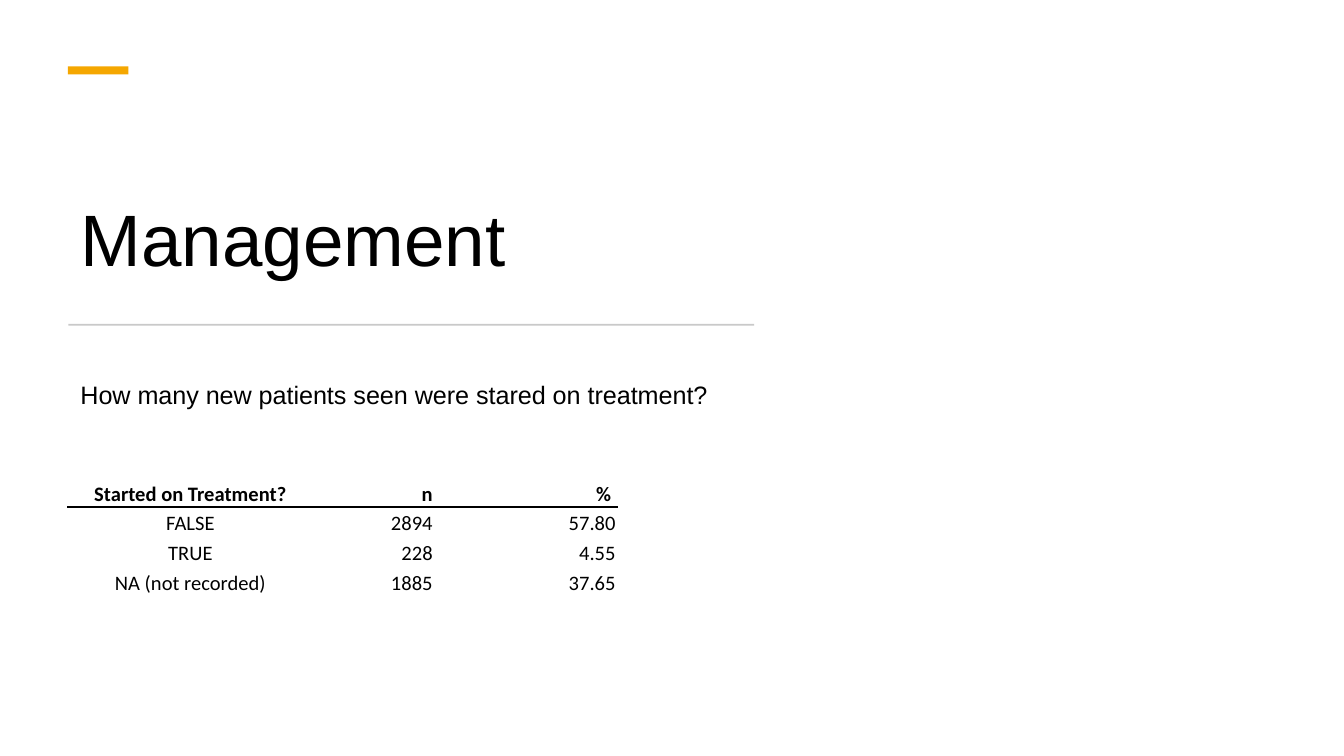
from lxml import etree
from pptx import Presentation
from pptx.dml.color import RGBColor
from pptx.enum.shapes import MSO_SHAPE
from pptx.enum.text import MSO_ANCHOR, PP_ALIGN
from pptx.oxml.ns import qn
from pptx.util import Pt

RECT = MSO_SHAPE.RECTANGLE
TOP, BOTTOM = MSO_ANCHOR.TOP, MSO_ANCHOR.BOTTOM
LEFT, CENTER, RIGHT = PP_ALIGN.LEFT, PP_ALIGN.CENTER, PP_ALIGN.RIGHT
COLORS = {"text": "000000", "accent": "F5A700", "rule": "C9C9C9"}


def write(frame, text, align, font, spacing=1.0):
    paragraph = frame.paragraphs[0]
    paragraph.alignment = align
    paragraph.line_spacing = spacing
    run = paragraph.add_run()
    run.text = text
    for name, value in font.items():
        setattr(run.font, name, value)
    run.font.color.rgb = RGBColor.from_string(COLORS["text"])


def add_border(cell, side):
    line = etree.SubElement(cell._tc.get_or_add_tcPr(), qn(f"a:{side}"), w=str(Pt(1)))
    fill = etree.SubElement(line, qn("a:solidFill"))
    etree.SubElement(fill, qn("a:srgbClr"), val=COLORS["text"])


prs = Presentation()
prs.slide_width, prs.slide_height = Pt(720), Pt(405)
slide = prs.slides.add_slide(prs.slide_layouts[5])

# Accent bar and divider
for color, box in (
    ("accent", (36.4, 35.6, 32.4, 4.3)),
    ("rule", (36.7, 173.5, 367.3, 1)),
):
    bar = slide.shapes.add_shape(RECT, *map(Pt, box))
    bar.shadow.inherit = False
    bar.fill.solid()
    bar.fill.fore_color.rgb = RGBColor.from_string(COLORS[color])
    bar.line.fill.background()

# Title and question
title = slide.shapes.title
title.left, title.top, title.width, title.height = map(Pt, (36, 64, 370, 91))
question = slide.shapes.add_textbox(Pt(36), Pt(198), Pt(370), Pt(167))
for block, text, size, anchor, spacing in (
    (title, "Management", 39, BOTTOM, 0.9),
    (question, "How many new patients seen were stared on treatment?", 13.5, TOP, 1.1),
):
    block.text_frame.word_wrap = True
    block.text_frame.vertical_anchor = anchor
    write(block.text_frame, text, LEFT, {"name": "Arial", "size": Pt(size)}, spacing)

# Treatment table
treatment_rows = [
    ("Started on Treatment?", "n", "% "),
    ("FALSE", "2894", "57.80"),
    ("TRUE", "228", "4.55"),
    ("NA (not recorded)", "1885", "37.65"),
]
column_widths = (131, 65, 98)
row_heights = (27, 16, 16, 16)
treatment = slide.shapes.add_table(
    len(row_heights), len(column_widths),
    Pt(36.5), Pt(244.5), Pt(sum(column_widths)), Pt(sum(row_heights)),
).table
treatment.first_row = treatment.horz_banding = False
for column, width in zip(treatment.columns, column_widths):
    column.width = Pt(width)

cell_format = {
    "margin_left": Pt(0.7), "margin_right": Pt(0.7), "margin_top": Pt(0.7),
    "margin_bottom": Pt(0), "vertical_anchor": BOTTOM,
}
for r, values in enumerate(treatment_rows):
    treatment.rows[r].height = Pt(row_heights[r])
    for c, value in enumerate(values):
        cell = treatment.cell(r, c)
        for name, setting in cell_format.items():
            setattr(cell, name, setting)
        # Borders come before the fill in the cell properties
        if r < 2:
            add_border(cell, "lnB" if r == 0 else "lnT")
        cell.fill.background()
        font = {"name": "Calibri", "size": Pt(11), "bold": r == 0}
        write(cell.text_frame, value, RIGHT if c else CENTER, font)

prs.save("out.pptx")
